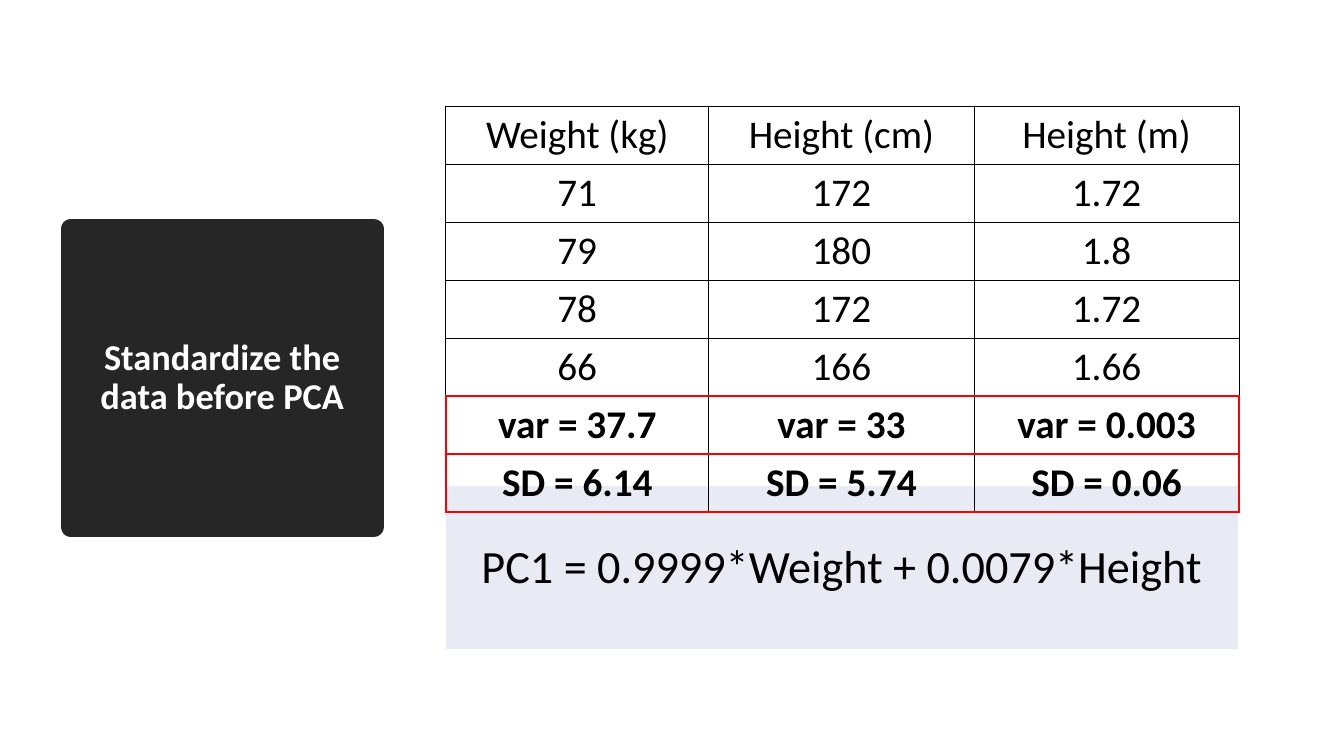
import pptx
import pptx.dml.color
import pptx.enum.shapes
import pptx.enum.text
import pptx.oxml.ns
import pptx.util
from lxml import etree

Inches = pptx.util.Inches
Pt = pptx.util.Pt
RGBColor = pptx.dml.color.RGBColor
Anchor = pptx.enum.text.MSO_ANCHOR
qn = pptx.oxml.ns.qn

BLACK = RGBColor(0x00, 0x00, 0x00)
WHITE = RGBColor(0xFF, 0xFF, 0xFF)
CHARCOAL = RGBColor(0x26, 0x26, 0x26)
LAVENDER = RGBColor(0xE8, 0xEB, 0xF4)
RED = RGBColor(0xFF, 0x00, 0x00)

MEASUREMENTS = [
    ["Weight (kg)", "Height (cm)", "Height (m)"],
    ["71", "172", "1.72"],
    ["79", "180", "1.8"],
    ["78", "172", "1.72"],
    ["66", "166", "1.66"],
    ["var = 37.7", "var = 33", "var = 0.003"],
    ["SD = 6.14", "SD = 5.74", "SD = 0.06"],
]
FIRST_STAT_ROW = 5
THIN = (BLACK, 0.5)
HIGHLIGHT = (RED, 1.47)


class SlideBuilder:
    """Draws styled elements on the current slide."""

    font = "Calibri"

    def __init__(self, s):
        self.s = s

    def text(self, tf, text, size, color, bold=False):
        p = tf.paragraphs[0]
        p.text = text
        p.alignment = pptx.enum.text.PP_ALIGN.CENTER
        p.font.name = self.font
        p.font.size = Pt(size)
        p.font.bold = bold
        p.font.color.rgb = color
        return p

    def title(self, text, left, top, width, height):
        sp = self.s.shapes.add_shape(
            pptx.enum.shapes.MSO_SHAPE.RECTANGLE,
            Inches(left), Inches(top), Inches(width), Inches(height))
        sp.shadow.inherit = False
        sp.fill.solid()
        sp.fill.fore_color.rgb = CHARCOAL
        sp.line.color.rgb = CHARCOAL
        sp.line.width = Pt(13.75)
        etree.SubElement(sp.line._get_or_add_ln(), qn("a:round"))
        tf = sp.text_frame
        tf.word_wrap = True
        tf.vertical_anchor = Anchor.MIDDLE
        self.text(tf, text, 26, WHITE, True).line_spacing = 0.9

    def table(self, left, top, widths, row_height, rows):
        frame = self.s.shapes.add_table(
            len(rows), len(widths), Inches(left), Inches(top),
            Inches(sum(widths)), Inches(row_height * len(rows)))
        table = frame.table
        table.first_row = False
        table.horz_banding = False
        for column, width in zip(table.columns, widths):
            column.width = Inches(width)
        for row in table.rows:
            row.height = Inches(row_height)
        return table

    def cell(self, cell, text, size, margin, anchor, borders, fill=None, bold=False):
        cell.margin_left = cell.margin_right = Inches(margin)
        cell.vertical_anchor = anchor
        self.text(cell.text_frame, text, size, BLACK, bold)
        for side, (color, width) in zip("LRTB", borders):
            self.border(cell, side, color, width)
        if fill is None:
            cell.fill.background()
        else:
            cell.fill.solid()
            cell.fill.fore_color.rgb = fill

    def border(self, cell, side, color, width):
        tcPr = cell._tc.get_or_add_tcPr()
        ln = etree.SubElement(tcPr, qn(f"a:ln{side}"), w=str(int(Pt(width))))
        solid = etree.SubElement(ln, qn("a:solidFill"))
        etree.SubElement(solid, qn("a:srgbClr"), val=str(color))

    def formula(self, text):
        table = self.table(4.42, 4.82, [7.86], 1.62, [[text]])
        self.cell(table.cell(0, 0), text, 33, 0.01, Anchor.MIDDLE,
                  [(WHITE, 0.96)] * 4, LAVENDER)

    def measurements(self, rows):
        table = self.table(4.42, 1.05, [2.61, 2.63, 2.63], 0.53, rows)
        for i, row in enumerate(rows):
            stat = i >= FIRST_STAT_ROW
            for j, text in enumerate(row):
                borders = [
                    HIGHLIGHT if stat and j == 0 else THIN,
                    HIGHLIGHT if stat and j == len(row) - 1 else THIN,
                    HIGHLIGHT if stat else THIN,
                    HIGHLIGHT if i >= FIRST_STAT_ROW - 1 else THIN,
                ]
                self.cell(table.cell(i, j), text, 28, 0.02, Anchor.BOTTOM,
                          borders, bold=stat)


def main():
    prs = pptx.Presentation()
    prs.slide_width = Inches(13.33)
    prs.slide_height = Inches(7.5)
    builder = SlideBuilder(prs.slides.add_slide(prs.slide_layouts[6]))
    builder.formula("PC1 = 0.9999*Weight + 0.0079*Height")
    builder.title("Standardize the data before PCA", 0.7, 2.27, 3.01, 2.96)
    builder.measurements(MEASUREMENTS)
    prs.save("out.pptx")


if __name__ == "__main__":
    main()
